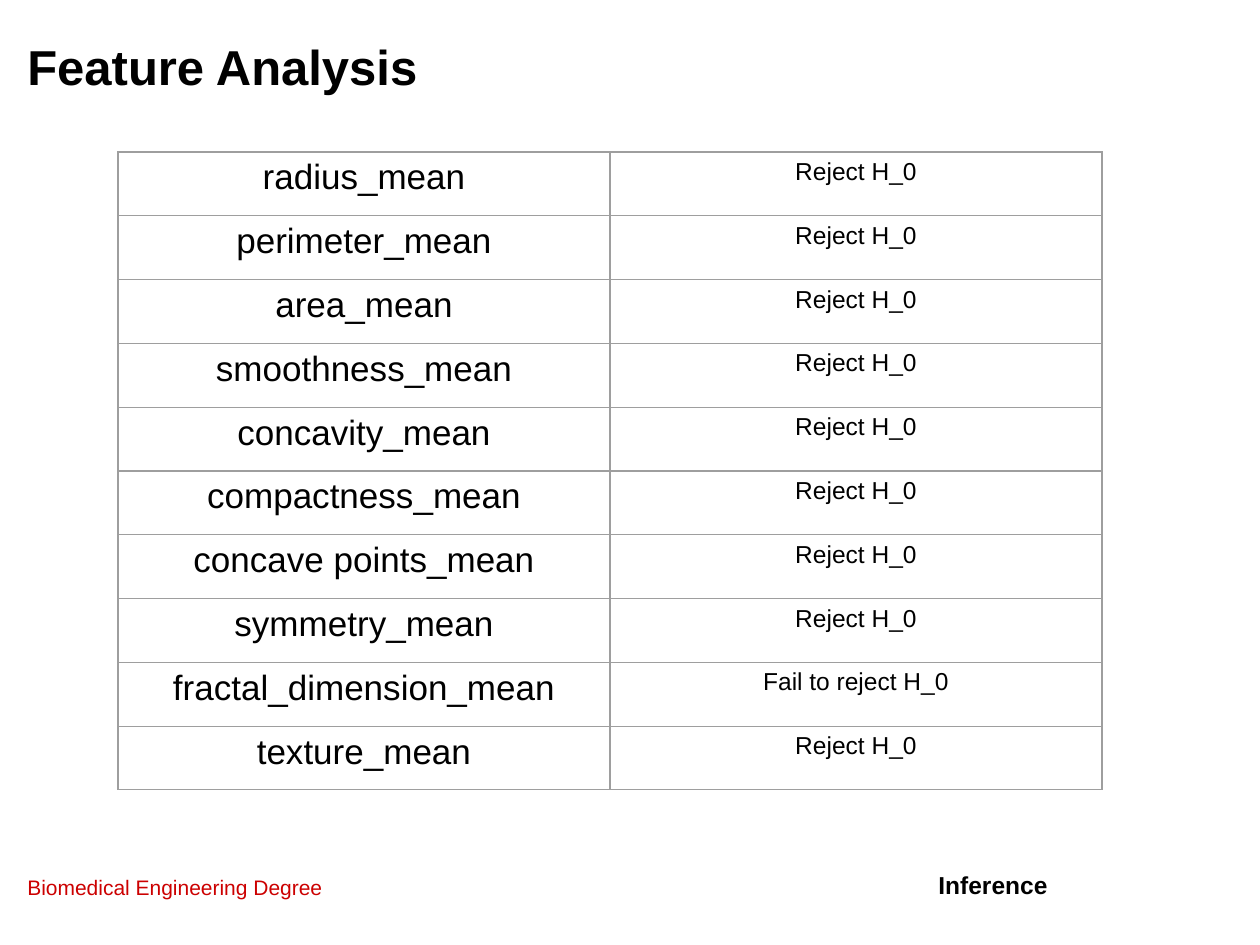
from lxml.etree import SubElement
from pptx import Presentation
from pptx.dml.color import RGBColor
from pptx.enum.text import MSO_ANCHOR, PP_ALIGN
from pptx.oxml.ns import qn
from pptx.util import Pt

PX = 914400 / 126  # EMU per pixel
BLACK = RGBColor(0x00, 0x00, 0x00)
RED = RGBColor(0xCC, 0x00, 0x00)
BORDER = RGBColor(0x9E, 0x9E, 0x9E)

REJECT = "Reject H_0"
RESULTS = [
    ("radius_mean", REJECT),
    ("perimeter_mean", REJECT),
    ("area_mean", REJECT),
    ("smoothness_mean", REJECT),
    ("concavity_mean", REJECT),
    ("compactness_mean", REJECT),
    ("concave points_mean", REJECT),
    ("symmetry_mean", REJECT),
    ("fractal_dimension_mean", "Fail to reject H_0"),
    ("texture_mean", REJECT),
]


def set_text(text_frame, text, size, color=BLACK, bold=False):
    text_frame.text = text
    paragraph = text_frame.paragraphs[0]
    font = paragraph.font
    font.name, font.size, font.bold = "Arial", Pt(size), bold
    font.color.rgb = color
    return paragraph


def add_borders(cell):
    """Draw a thin line on all four sides; lines must precede the fill."""
    properties = cell._tc.get_or_add_tcPr()
    for side in ("a:lnL", "a:lnR", "a:lnT", "a:lnB"):
        line = SubElement(properties, qn(side), w=str(Pt(0.75)))
        fill = SubElement(line, qn("a:solidFill"))
        SubElement(fill, qn("a:srgbClr"), val=str(BORDER))


presentation = Presentation()
presentation.slide_width = round(1260 * PX)
presentation.slide_height = round(945 * PX)
slide = presentation.slides.add_slide(presentation.slide_layouts[6])

# Title and footer: text, box in px, size, colour, bold, wrap, anchor
for text, box, size, color, bold, wrap, anchor in [
    ("Feature Analysis", (15, 16, 1230, 100), 28, BLACK, True, True, MSO_ANCHOR.MIDDLE),
    ("Inference", (926, 864, 135, 43), 14, BLACK, True, False, MSO_ANCHOR.TOP),
    ("Biomedical Engineering Degree", (15, 868, 1047, 77), 12, RED, False, True, MSO_ANCHOR.TOP),
]:
    text_box = slide.shapes.add_textbox(*(round(length * PX) for length in box))
    text_box.text_frame.word_wrap = wrap
    text_box.text_frame.vertical_anchor = anchor
    set_text(text_box.text_frame, text, size, color, bold)

# Test results
table_box = (round(length * PX) for length in (118, 152, 984, 638))
table = slide.shapes.add_table(len(RESULTS), 2, *table_box).table
table.first_row = False
table.horz_banding = False
for row, result in zip(table.rows, RESULTS):
    for cell, text, size in zip(row.cells, result, (20, 14)):
        add_borders(cell)
        cell.fill.background()
        set_text(cell.text_frame, text, size).alignment = PP_ALIGN.CENTER

presentation.save("out.pptx")
